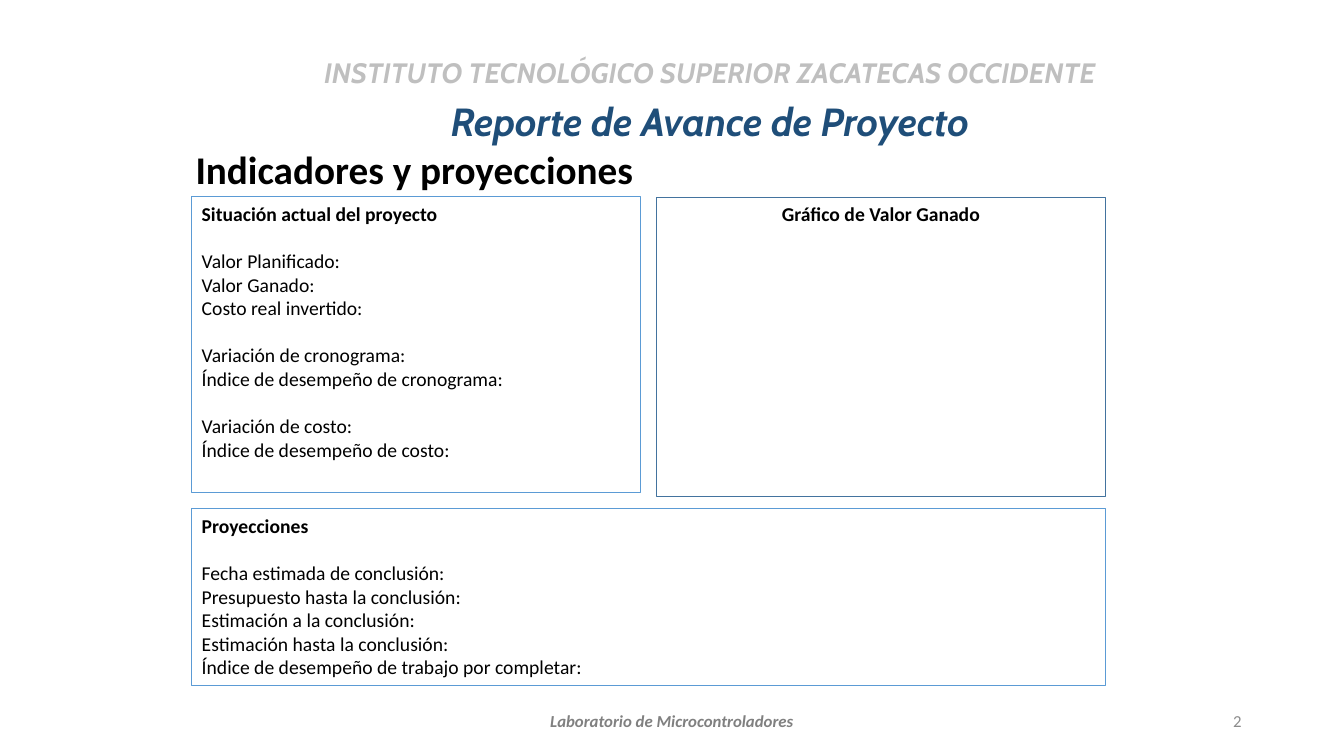
import pptx
import pptx.dml.color
import pptx.enum.shapes
import pptx.enum.text
import pptx.util

Pt = pptx.util.Pt
ALIGN = pptx.enum.text.PP_ALIGN
ANCHOR = pptx.enum.text.MSO_ANCHOR

COLORS = {
    "text": "000000",
    "institute": "BFBFBF",
    "report": "1F4E79",
    "footer": "808080",
    "number": "8C8C8C",
    "panel": "5B9BD5",
    "chart_panel": "43739E",
}
GROUP_GAP = 17

STATUS_GROUPS = [
    ["Valor Planificado:", "Valor Ganado:", "Costo real invertido:"],
    ["Variación de cronograma:", "Índice de desempeño de cronograma:"],
    ["Variación de costo:", "Índice de desempeño de costo:"],
]
PROJECTION_GROUPS = [[
    "Fecha estimada de conclusión:",
    "Presupuesto hasta la conclusión:",
    "Estimación a la conclusión:",
    "Estimación hasta la conclusión:",
    "Índice de desempeño de trabajo por completar:",
]]


def rgb(name):
    return pptx.dml.color.RGBColor.from_string(COLORS[name])


def write_paragraph(para, text, color="text", align=ALIGN.LEFT, gap=0, **font):
    para.alignment = align
    para.line_spacing = 1.0
    para.space_before = Pt(gap)
    span = para.add_run()
    span.text = text
    formats = {"name": "Calibri", "size": Pt(14), "bold": False, "italic": False, **font}
    for attribute, value in formats.items():
        setattr(span.font, attribute, value)
    span.font.color.rgb = rgb(color)


def set_frame(box, anchor):
    frame = box.text_frame
    formats = {
        "word_wrap": True,
        "auto_size": pptx.enum.text.MSO_AUTO_SIZE.NONE,
        "vertical_anchor": anchor,
    }
    for attribute, value in formats.items():
        setattr(frame, attribute, value)
    return frame


def place_title(page, text, left, top, width, height):
    title = page.shapes.title
    bounds = {"left": left, "top": top, "width": width, "height": height}
    for attribute, value in bounds.items():
        setattr(title, attribute, Pt(value))
    frame = set_frame(title, ANCHOR.MIDDLE)
    write_paragraph(frame.paragraphs[0], text, size=Pt(28), bold=True)


def add_label(page, text, bounds, **formats):
    box = page.shapes.add_textbox(*map(Pt, bounds))
    frame = set_frame(box, ANCHOR.MIDDLE)
    write_paragraph(frame.paragraphs[0], text, **formats)


def add_panel(page, heading, bounds, groups=(), align=ALIGN.LEFT,
              line_color="panel", line_width=0.75):
    """Outlined box with a bold heading and groups of lines set apart by a gap."""
    rectangle = pptx.enum.shapes.MSO_SHAPE.RECTANGLE
    panel = page.shapes.add_shape(rectangle, *map(Pt, bounds))
    panel.shadow.inherit = False
    panel.fill.background()
    panel.line.color.rgb = rgb(line_color)
    panel.line.width = Pt(line_width)
    frame = set_frame(panel, ANCHOR.TOP)
    write_paragraph(frame.paragraphs[0], heading, align=align, bold=True)
    for group in groups:
        for index, line in enumerate(group):
            gap = 0 if index else GROUP_GAP
            write_paragraph(frame.add_paragraph(), line, gap=gap)


def main():
    deck = pptx.Presentation()
    deck.slide_width, deck.slide_height = Pt(960), Pt(540)
    page = deck.slides.add_slide(deck.slide_layouts.get_by_name("Title Only"))

    place_title(page, "Indicadores y proyecciones", 132.5, 106.5, 612, 28)
    heading = {"name": "Cabin", "bold": True, "italic": True, "align": ALIGN.CENTER}
    add_label(page, "INSTITUTO TECNOLÓGICO SUPERIOR ZACATECAS OCCIDENTE",
              (120, 37, 774, 29), color="institute", size=Pt(20), **heading)
    add_label(page, "Reporte de Avance de Proyecto",
              (120, 72, 774, 29), color="report", size=Pt(28), **heading)

    add_panel(page, "Situación actual del proyecto",
              (137, 140.5, 320.5, 211), STATUS_GROUPS)
    add_panel(page, "Gráfico de Valor Ganado", (469, 140.5, 320.5, 214),
              align=ALIGN.CENTER, line_color="chart_panel", line_width=0.25)
    add_panel(page, "Proyecciones", (137, 363.5, 652.5, 126), PROJECTION_GROUPS)

    add_label(page, "Laboratorio de Microcontroladores", (318, 500.5, 324, 29),
              color="footer", size=Pt(12), bold=True, italic=True, align=ALIGN.CENTER)
    add_label(page, "2", (678, 500.5, 216, 29),
              color="number", size=Pt(12), align=ALIGN.RIGHT)
    deck.save("out.pptx")


if __name__ == "__main__":
    main()
